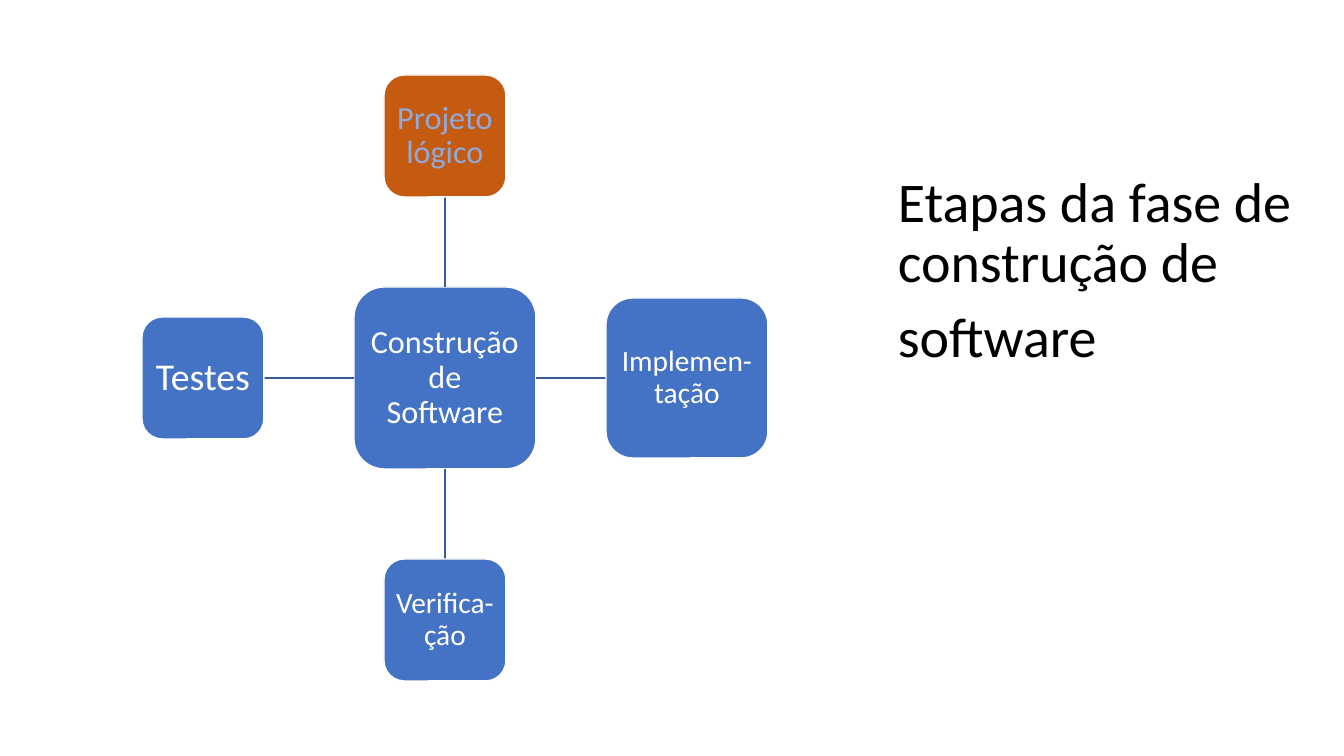
from lxml import etree
from pptx import Presentation
from pptx import util as u
from pptx.dml.color import RGBColor
from pptx.enum import shapes, text
from pptx.oxml.ns import qn

COLORS = {"blue": "4472C4", "orange": "C55A11", "pale": "8FAADC",
          "link": "365B9D", "white": "FFFFFF", "black": "000000"}
FONT = "Calibri"
TITLE = ["Etapas da fase de construção de", "software"]
TITLE_BOX = (888, 169, 449, 480)
HUB = {"label": "Construção de Software", "size": (182, 182), "points": 23}
STAGES = [  # direction is the unit step from the hub
    {"label": "Projeto lógico", "direction": (0, -1), "size": (122, 122),
     "points": 23, "fill": "orange", "ink": "pale"},
    {"label": "Implemen-tação", "direction": (1, 0), "size": (162, 160), "points": 21},
    {"label": "Verifica-ção", "direction": (0, 1), "size": (122, 122), "points": 21},
    {"label": "Testes", "direction": (-1, 0), "size": (122, 122), "points": 27},
]
CENTER = (445, 378)
REACH = 242
INSET = 6


def px(length):
    return u.Emu(round(length * 914400 / 100.8))


def rgb(name):
    return RGBColor.from_string(COLORS[name])


def set_all(target, values):
    for name, value in values.items():
        setattr(target, name, value)


def write(frame, lines, points, ink, frame_format, para_format):
    set_all(frame, {"word_wrap": True, **frame_format})
    for index, line in enumerate(lines):
        para = frame.add_paragraph() if index else frame.paragraphs[0]
        set_all(para, {"line_spacing": 0.9, **para_format})
        span = para.add_run()
        span.text = line
        set_all(span.font, {"size": u.Pt(points), "name": FONT})
        span.font.color.rgb = rgb(ink)


def add_node(page, center, label, size, points, fill="blue", ink="white", **_):
    corner = [c - s / 2 for c, s in zip(center, size)]
    node = page.shapes.add_shape(shapes.MSO_SHAPE.ROUNDED_RECTANGLE,
                                 *map(px, (*corner, *size)))
    node.shadow.inherit = False
    node.fill.solid()
    node.fill.fore_color.rgb = rgb(fill)
    node.line.color.rgb = rgb("white")
    node.line.width = u.Pt(1)
    margins = {f"margin_{side}": px(INSET) for side in ("left", "top", "right", "bottom")}
    write(node.text_frame, [label], points, ink,
          {"vertical_anchor": text.MSO_ANCHOR.MIDDLE, **margins},
          {"alignment": text.PP_ALIGN.CENTER})


def add_link(page, stage, center):
    """Join the facing edges of the hub and a stage."""
    start = [c + d * s / 2 for c, d, s in zip(CENTER, stage["direction"], HUB["size"])]
    end = [c - d * s / 2 for c, d, s in zip(center, stage["direction"], stage["size"])]
    link = page.shapes.add_connector(shapes.MSO_CONNECTOR.STRAIGHT,
                                     *map(px, (*start, *end)))
    link.line.color.rgb = rgb("link")
    link.line.width = u.Pt(1)
    etree.SubElement(link._element.spPr, qn("a:effectLst"))


def main():
    deck = Presentation()
    deck.slide_width, deck.slide_height = px(1344), px(756)
    page = deck.slides.add_slide(deck.slide_layouts[6])
    add_node(page, CENTER, **HUB)
    for stage in STAGES:
        center = [c + d * REACH for c, d in zip(CENTER, stage["direction"])]
        add_link(page, stage, center)
        add_node(page, center, **stage)
    box = page.shapes.add_textbox(*map(px, TITLE_BOX))
    write(box.text_frame, TITLE, 40, "black", {},
          {"space_before": u.Pt(10), "alignment": text.PP_ALIGN.LEFT})
    deck.save("out.pptx")


if __name__ == "__main__":
    main()
